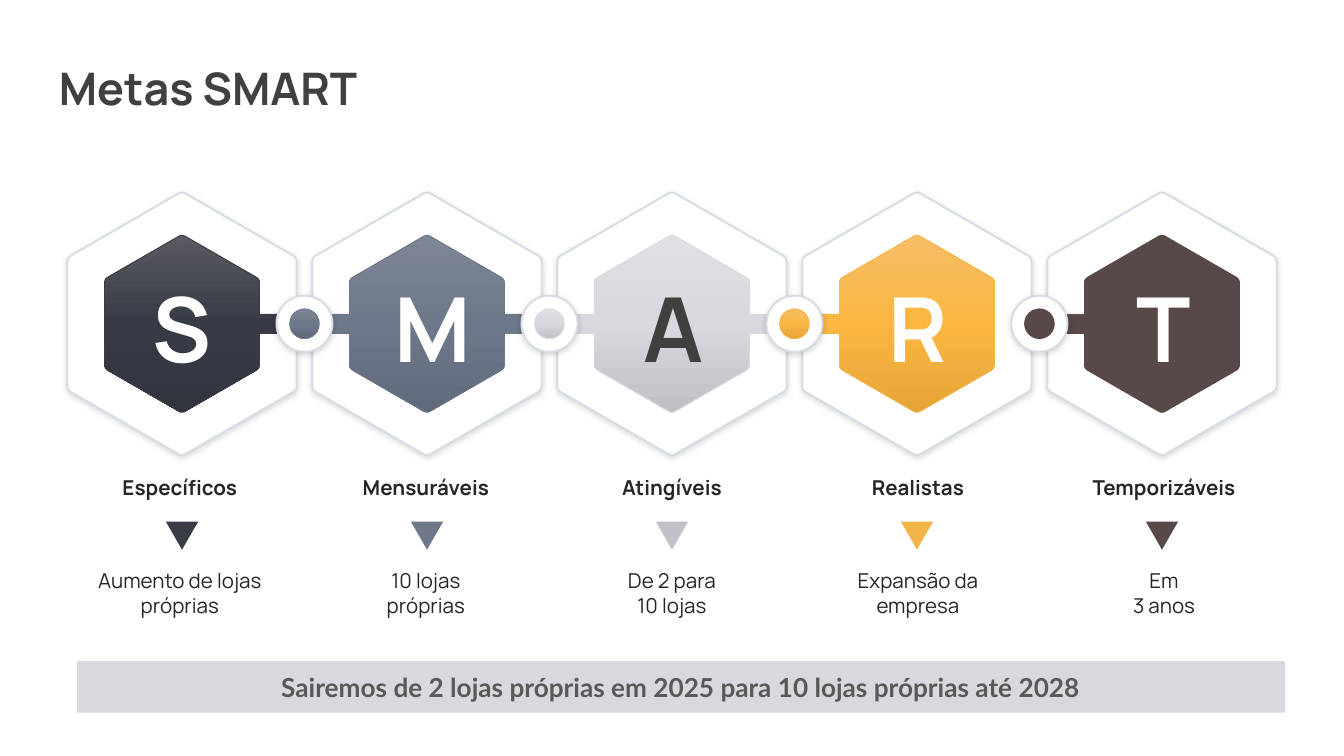
from collections import namedtuple
from copy import deepcopy
from math import cos, hypot, radians, sin

from lxml import etree
from pptx import Presentation
from pptx.dml.color import RGBColor
from pptx.enum import shapes, text
from pptx.oxml.ns import qn
from pptx.util import Cm, Pt

# Content
TITLE = "Metas SMART"
SUMMARY = "Sairemos de 2 lojas próprias em 2025 para 10 lojas próprias até 2028"
Goal = namedtuple("Goal", "letter name target tone arms")
GOALS = [
    Goal("S", "Específicos", ["Aumento de lojas próprias"], "navy", "right"),
    Goal("M", "Mensuráveis", ["10 lojas", "próprias"], "slate", "left right"),
    Goal("A", "Atingíveis", ["De 2 para", "10 lojas"], "silver", "left right"),
    Goal("R", "Realistas", ["Expansão da empresa"], "amber", "left"),
    Goal("T", "Temporizáveis", ["Em", "3 anos"], "brown", "left"),
]

# Theme: each tone has gradient stops, outline, arrow and letter colours
Tone = namedtuple("Tone", "fill line arrow letter")
THEME = {
    "navy": Tone(["5A5B61", "383B46", "32343E"], "393B45", "393B45", "FFFFFF"),
    "slate": Tone(["7F8796", "6D788A", "5F6A7C"], "6E7889", "6E7889", "FFFFFF"),
    "silver": Tone(["DFE0E4", "D8D9DE", "BFC0C6"], "D8D9DE", "C0C2CA", "404040"),
    "amber": Tone(["F6BD66", "FBB742", "E5A435"], "F3B54A", "F3B54A", "FFFFFF"),
    "brown": Tone(["584848"], "584848", "584848", "FFFFFF"),
    "frame": Tone(["FFFFFF"], "D6DCE5", None, None),
    "heading": "404040", "body": "262626", "bar": "D8D9DE", "bar_text": "595959",
    "font": "Manrope", "bar_font": "Lato",
    "title_size": 24, "letter_size": 48, "body_size": 11, "bar_size": 14,
}

# Layout, in centimetres
FIRST, PITCH, MIDDLE = 3.44, 4.63, 6.12
LETTER_PITCH = 4.64
CAPTION_FIRST, CAPTION_PITCH, CAPTION_WIDTH = 3.4, 4.65, 3.89
FRAME_RADIUS, CORE_RADIUS, CORNER = 2.5, 1.69, 0.07
ARM_HALF = 0.18
RING, DOT = 1.06, 0.56

deck = Presentation()
deck.slide_width, deck.slide_height = Cm(25.4), Cm(14.29)
slide = deck.slides.add_slide(deck.slide_layouts[6])


def paint(shape, colours, line=None, width=0.5):
    shape.shadow.inherit = False
    fill = shape.fill
    if len(colours) == 1:
        fill.solid()
        fill.fore_color.rgb = RGBColor.from_string(colours[0])
    else:
        fill.gradient()
        fill.gradient_angle = 270
        stop_list = shape._element.spPr.find(".//" + qn("a:gsLst"))
        stop_list.append(deepcopy(stop_list[0]))
        for i, (stop, colour) in enumerate(zip(fill.gradient_stops, colours)):
            stop.position = i / (len(colours) - 1)
            stop.color.rgb = RGBColor.from_string(colour)
    if line:
        shape.line.color.rgb = RGBColor.from_string(line)
        shape.line.width = Pt(width)
    else:
        shape.line.fill.background()


def paint_frame(shape):
    frame = THEME["frame"]
    paint(shape, frame.fill, frame.line, 1)
    effects = shape._element.spPr.find(qn("a:effectLst"))
    shadow = etree.SubElement(effects, qn("a:outerShdw"), blurRad=str(Pt(3)),
                              dist=str(Pt(1)), dir="5400000", rotWithShape="0")
    black = etree.SubElement(shadow, qn("a:srgbClr"), val="000000")
    etree.SubElement(black, qn("a:alpha"), val="15000")


def hexagon(centre, radius, arms=""):
    """Pointed-top hexagon with soft corners and optional side arms."""
    corners = [(radius * sin(radians(a)), -radius * cos(radians(a)))
               for a in range(0, 360, 60)]
    outline = []
    for i, (x, y) in enumerate(corners):
        ends = []
        for nx, ny in (corners[i - 1], corners[(i + 1) % 6]):
            share = CORNER / hypot(nx - x, ny - y)
            ends.append((x + (nx - x) * share, y + (ny - y) * share))
        (ax, ay), (bx, by) = ends
        for t in (0, 0.25, 0.5, 0.75, 1):
            p, q, r = (1 - t) ** 2, 2 * t * (1 - t), t * t
            outline.append((p * ax + q * x + r * bx, p * ay + q * y + r * by))
        side = {1: "right", 4: "left"}.get(i)
        if side and side in arms:
            sign = 1 if side == "right" else -1
            h, reach = ARM_HALF * sign, PITCH / 2 * sign
            outline += [(x, -h), (reach, -h), (reach, h), (x, h)]
    points = [(Cm(centre + x), Cm(MIDDLE + y)) for x, y in outline]
    builder = slide.shapes.build_freeform(*points[0])
    builder.add_line_segments(points[1:], close=True)
    return builder.convert_to_shape()


def preset(kind, centre, top, width, height):
    return slide.shapes.add_shape(kind, Cm(centre - width / 2), Cm(top),
                                  Cm(width), Cm(height))


def write(frame, lines, size, colour, bold=False, font=THEME["font"],
          align=text.PP_ALIGN.CENTER, anchor=text.MSO_ANCHOR.MIDDLE):
    frame.word_wrap = True
    frame.vertical_anchor = anchor
    frame.text = "\n".join(lines)
    for paragraph in frame.paragraphs:
        paragraph.alignment = align
        paragraph.font.name, paragraph.font.size = font, Pt(size)
        paragraph.font.bold = bold
        paragraph.font.color.rgb = RGBColor.from_string(colour)


def label(centre, top, width, height, *args, **kwargs):
    box = slide.shapes.add_textbox(Cm(centre - width / 2), Cm(top),
                                   Cm(width), Cm(height))
    write(box.text_frame, *args, **kwargs)
    box.text_frame.auto_size = text.MSO_AUTO_SIZE.SHAPE_TO_FIT_TEXT


# Title
label(5.6, 1.02, 9.47, 1.27, [TITLE], THEME["title_size"], THEME["heading"],
      bold=True, align=text.PP_ALIGN.LEFT)

# Hexagons
for i, goal in enumerate(GOALS):
    tone, centre = THEME[goal.tone], FIRST + i * PITCH
    paint_frame(hexagon(centre, FRAME_RADIUS))
    paint(hexagon(centre, CORE_RADIUS, goal.arms), tone.fill, tone.line)

# Link nodes, each in the tone of the goal on its right
for i, goal in enumerate(GOALS[1:]):
    tone, centre = THEME[goal.tone], FIRST + (i + 0.5) * PITCH
    oval = shapes.MSO_SHAPE.OVAL
    paint_frame(preset(oval, centre, MIDDLE - RING / 2, RING, RING))
    paint(preset(oval, centre, MIDDLE - DOT / 2, DOT, DOT), tone.fill, tone.line)

# Letters, names, arrows and targets
for i, goal in enumerate(GOALS):
    tone = THEME[goal.tone]
    caption = CAPTION_FIRST + i * CAPTION_PITCH
    label(FIRST + i * LETTER_PITCH, 5.03, 1.75, 2.31, [goal.letter],
          THEME["letter_size"], tone.letter, bold=True)
    label(caption, 8.86, CAPTION_WIDTH, 0.74, [goal.name], THEME["body_size"],
          THEME["body"], bold=True, anchor=text.MSO_ANCHOR.TOP)
    arrow = preset(shapes.MSO_SHAPE.ISOSCELES_TRIANGLE, FIRST + i * PITCH,
                   9.86, 0.61, 0.53)
    arrow.rotation = 180
    paint(arrow, [tone.arrow])
    label(caption, 10.62, CAPTION_WIDTH, 1.19, goal.target, THEME["body_size"],
          THEME["body"], anchor=text.MSO_ANCHOR.TOP)

# Summary bar
bar = preset(shapes.MSO_SHAPE.RECTANGLE, 12.87, 12.5, 22.83, 0.97)
paint(bar, [THEME["bar"]])
write(bar.text_frame, [SUMMARY], THEME["bar_size"], THEME["bar_text"],
      bold=True, font=THEME["bar_font"])

deck.save("out.pptx")
